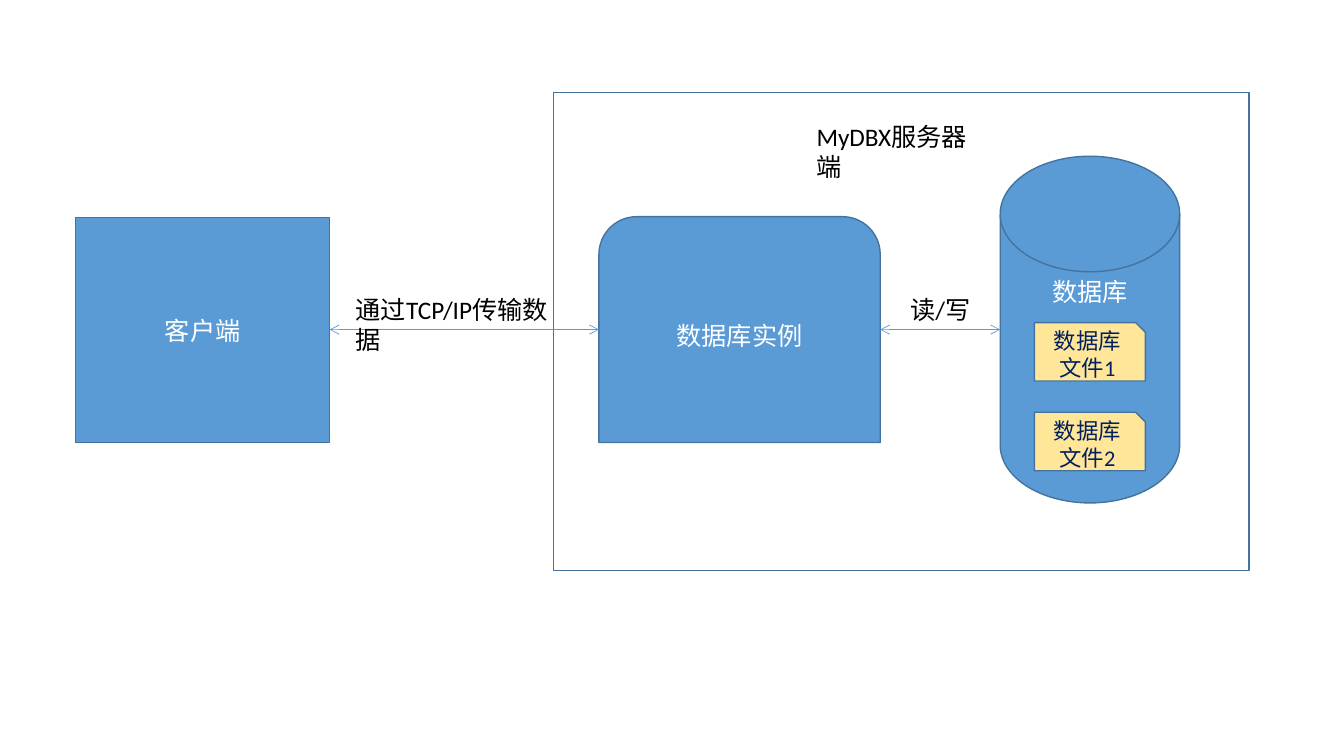
from lxml.etree import SubElement
from pptx import Presentation
from pptx.dml.color import RGBColor
from pptx.enum.shapes import MSO_CONNECTOR, MSO_SHAPE
from pptx.enum.text import MSO_ANCHOR, MSO_AUTO_SIZE, PP_ALIGN
from pptx.oxml.ns import qn
from pptx.util import Inches, Pt

BLUE = RGBColor(0x5B, 0x9B, 0xD5)
OUTLINE = RGBColor(0x43, 0x73, 0x9E)
CREAM = RGBColor(0xFF, 0xE6, 0x99)
NAVY = RGBColor(0x00, 0x20, 0x60)
WHITE = RGBColor(0xFF, 0xFF, 0xFF)
BLACK = RGBColor(0x00, 0x00, 0x00)


def write(frame, text, size=18, color=WHITE, align=PP_ALIGN.CENTER,
          anchor=MSO_ANCHOR.MIDDLE, font="Calibri"):
    frame.word_wrap = True
    frame.vertical_anchor = anchor
    paragraph = frame.paragraphs[0]
    paragraph.alignment = align
    run = paragraph.add_run()
    run.text = text
    run.font.name = font
    run.font.size = Pt(size)
    run.font.color.rgb = color


class Diagram:
    def __init__(self, slide):
        self.shapes = slide.shapes

    def node(self, kind, left, top, width, height, text="", fill=BLUE, **style):
        node = self.shapes.add_shape(kind, Inches(left), Inches(top),
                                     Inches(width), Inches(height))
        node.shadow.inherit = False
        if fill is None:
            node.fill.background()
        else:
            node.fill.solid()
            node.fill.fore_color.rgb = fill
        node.line.color.rgb = OUTLINE
        node.line.width = Pt(1)
        if text:
            write(node.text_frame, text, **style)

    def label(self, left, top, width, text):
        label = self.shapes.add_textbox(Inches(left), Inches(top),
                                        Inches(width), Inches(0.4))
        write(label.text_frame, text, color=BLACK, align=PP_ALIGN.LEFT,
              anchor=MSO_ANCHOR.TOP)
        label.text_frame.auto_size = MSO_AUTO_SIZE.SHAPE_TO_FIT_TEXT

    def double_arrow(self, start, end, y):
        arrow = self.shapes.add_connector(MSO_CONNECTOR.STRAIGHT, Inches(start),
                                          Inches(y), Inches(end), Inches(y))
        arrow.line.color.rgb = BLUE
        arrow.line.width = Pt(0.5)
        outline = arrow.line._get_or_add_ln()
        for end_tag in ("a:headEnd", "a:tailEnd"):
            SubElement(outline, qn(end_tag), type="arrow")
        SubElement(arrow._element.spPr, qn("a:effectLst"))


def main():
    prs = Presentation()
    prs.slide_width = Inches(13.33)
    prs.slide_height = Inches(7.5)
    diagram = Diagram(prs.slides.add_slide(prs.slide_layouts[6]))
    link_y = 3.27

    # Server frame
    diagram.node(MSO_SHAPE.RECTANGLE, 5.49, 0.92, 6.9, 4.74, fill=None)

    # Database and its files
    diagram.node(MSO_SHAPE.FLOWCHART_MAGNETIC_DISK, 9.92, 1.55, 1.78, 3.44,
                 "数据库", anchor=MSO_ANCHOR.TOP)
    for number in (1, 2):
        diagram.node(MSO_SHAPE.SNIP_1_RECTANGLE, 10.26, 3.2 + 0.89 * (number - 1),
                     1.1, 0.58, f"数据库文件{number}", fill=CREAM, size=16, color=NAVY)

    # Database instance, linked to the database
    diagram.node(MSO_SHAPE.ROUND_2_SAME_RECTANGLE, 5.94, 2.15, 2.79, 2.24, "数据库实例")
    diagram.double_arrow(8.73, 9.92, link_y)
    diagram.label(8.93, 2.87, 0.8, "读/写")
    diagram.label(8, 1.15, 1.91, "MyDBX服务器端")

    # Client, linked to the instance
    diagram.node(MSO_SHAPE.RECTANGLE, 0.75, 2.16, 2.52, 2.23, "客户端")
    diagram.double_arrow(3.27, 5.94, link_y)
    diagram.label(3.43, 2.87, 2.35, "通过TCP/IP传输数据")

    prs.save("out.pptx")


if __name__ == "__main__":
    main()
